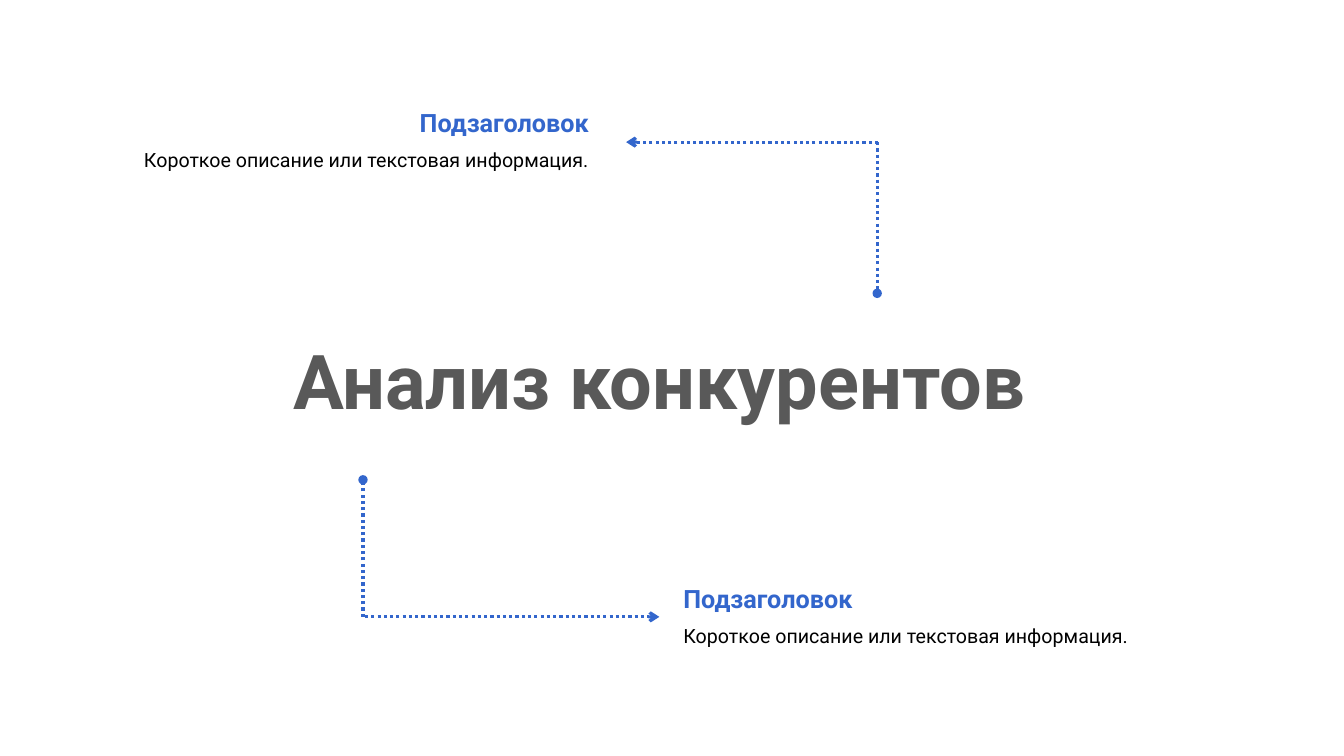
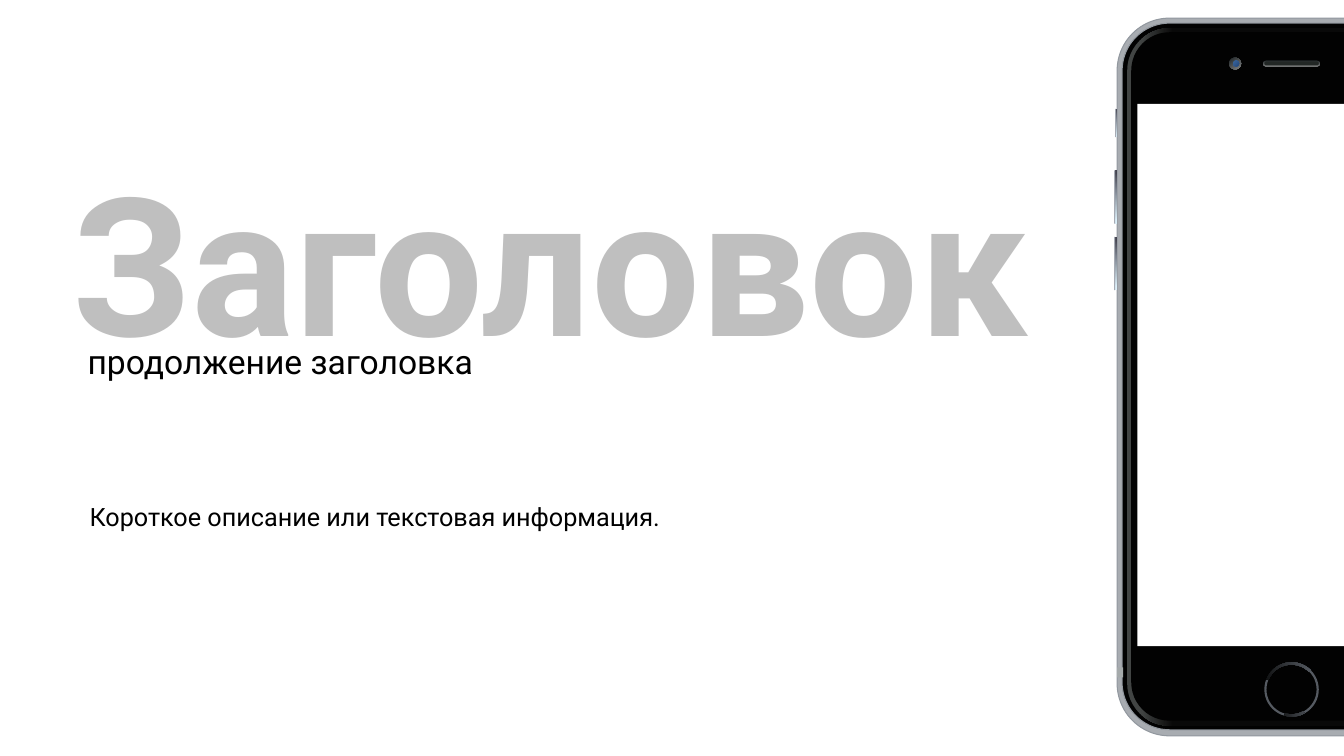
from dataclasses import dataclass

from lxml.etree import SubElement
from pptx import Presentation
from pptx.dml.color import RGBColor
from pptx.enum.dml import MSO_LINE
from pptx.enum.shapes import MSO_CONNECTOR, MSO_SHAPE
from pptx.enum.text import MSO_ANCHOR, MSO_AUTO_SIZE, PP_ALIGN
from pptx.oxml.ns import qn
from pptx.slide import Slide
from pptx.util import Emu, Pt

PX = 9144  # EMU per px, 100 px to the inch
FONT = "Roboto"
COLORS = {
    "white": "FFFFFF",
    "text": "000000",
    "accent": "3366CC",
    "title": "595959",
    "ghost": "BFBFBF",
    "frame": "A8ACB1",
    "edge": "92989F",
    "glass": "020202",
    "rim_light": "424544",
    "rim_dark": "090909",
    "ring": "555A61",
    "button": "A6ABB4",
    "button_dark": "444450",
    "button_light": "DBEFF9",
    "lens_dark": "222729",
    "lens_light": "7D7F7F",
    "lens_blue": "39669E",
    "lens_navy": "294C7E",
    "speaker": "222725",
    "antenna": "A5AAAB",
}


@dataclass(frozen=True)
class Label:
    text: str
    x: int
    y: int
    w: int
    h: int
    size: int
    color: str = "text"
    bold: bool = False
    align: PP_ALIGN = PP_ALIGN.LEFT
    wrap: bool = True
    anchor: MSO_ANCHOR = MSO_ANCHOR.TOP
    spacing: float = 1.0


@dataclass(frozen=True)
class Dotted:
    x1: int
    y1: int
    x2: int
    y2: int
    end: str


@dataclass(frozen=True)
class Gradient:
    start: str
    start_pos: float
    stop: str
    stop_pos: float
    angle: int = 0  # clockwise


@dataclass(frozen=True)
class Part:
    kind: MSO_SHAPE
    x: int
    y: int
    w: int
    h: int
    fill: str | Gradient
    adjust: tuple[float, ...] = ()
    line: str = ""


def px(n: int) -> Emu:
    return Emu(n * PX)


def rgb(name: str) -> RGBColor:
    return RGBColor.from_string(COLORS[name])


def add_label(s: Slide, label: Label) -> None:
    tf = s.shapes.add_textbox(px(label.x), px(label.y), px(label.w), px(label.h)).text_frame
    tf.word_wrap = label.wrap
    tf.vertical_anchor = label.anchor
    if label.anchor == MSO_ANCHOR.TOP:
        tf.auto_size = MSO_AUTO_SIZE.SHAPE_TO_FIT_TEXT
    p = tf.paragraphs[0]
    p.add_run().text = label.text
    p.alignment = label.align
    p.line_spacing = label.spacing
    p.font.name = FONT
    p.font.size = Pt(label.size)
    p.font.bold = label.bold
    p.font.color.rgb = rgb(label.color)


def add_dotted(s: Slide, d: Dotted) -> None:
    line = s.shapes.add_connector(
        MSO_CONNECTOR.STRAIGHT, px(d.x1), px(d.y1), px(d.x2), px(d.y2))
    line.line.color.rgb = rgb("accent")
    line.line.width = Pt(2.25)
    line.line.dash_style = MSO_LINE.ROUND_DOT
    sp_pr = line.element.spPr
    if d.end:
        SubElement(sp_pr.find(qn("a:ln")), qn("a:tailEnd"), type=d.end)
    SubElement(sp_pr, qn("a:effectLst"))


def add_part(s: Slide, part: Part) -> None:
    sp = s.shapes.add_shape(part.kind, px(part.x), px(part.y), px(part.w), px(part.h))
    sp.shadow.inherit = False
    for i, value in enumerate(part.adjust):
        sp.adjustments[i] = value
    if isinstance(part.fill, Gradient):
        g = part.fill
        sp.fill.gradient()
        sp.fill.gradient_angle = (360 - g.angle) % 360
        ends = ((g.start, g.start_pos), (g.stop, g.stop_pos))
        for stop, (color, position) in zip(sp.fill.gradient_stops, ends):
            stop.color.rgb = rgb(color)
            stop.position = position
    else:
        sp.fill.solid()
        sp.fill.fore_color.rgb = rgb(part.fill)
    if part.line:
        sp.line.color.rgb = rgb(part.line)
        sp.line.width = Pt(0.75)
    else:
        sp.line.fill.background()


def rounded(x: int, y: int, w: int, h: int, radius: int,
            fill: str | Gradient, line: str = "") -> Part:
    return Part(MSO_SHAPE.ROUNDED_RECTANGLE, x, y, w, h, fill, (radius / min(w, h),), line)


def ring_arc(start: int, stop: int, fill: Gradient) -> Part:
    # Angles are stored in 60000ths of a degree, adjustments in 100000ths
    return Part(MSO_SHAPE.BLOCK_ARC, 1254, 657, 54, 54, fill,
                (start * 0.6, stop * 0.6, 0.045))


def add_phone(s: Slide) -> None:
    rect, oval = MSO_SHAPE.RECTANGLE, MSO_SHAPE.OVAL
    rim = Gradient("rim_light", 0.04, "rim_dark", 0.14)
    parts = [
        # Body, from the frame inwards
        rounded(1108, 18, 345, 712, 52, "frame", "edge"),
        rounded(1113, 23, 334, 701, 47, "glass", "edge"),
        rounded(1118, 28, 326, 692, 42, rim),
        rounded(1122, 32, 317, 683, 38, "glass"),
        Part(rect, 1128, 103, 303, 538, "white"),
        Part(rect, 1108, 662, 6, 10, "antenna"),
        # Home button
        Part(MSO_SHAPE.DONUT, 1254, 657, 54, 54, "ring", (0.04,)),
        ring_arc(202, 315, Gradient("text", 0, "ring", 0.88, 345)),
        ring_arc(62, 105, Gradient("text", 0.07, "ring", 0.91)),
        # Camera and speaker
        Part(oval, 1219, 57, 12, 12, Gradient("lens_dark", 0.05, "lens_light", 0.96, 54)),
        Part(oval, 1223, 60, 6, 6, Gradient("lens_blue", 0.07, "lens_navy", 0.91, 45)),
        rounded(1253, 60, 56, 6, 3, Gradient("lens_dark", 0.01, "lens_light", 0.97, 90)),
        rounded(1254, 61, 54, 4, 2, "speaker"),
    ]
    # Side buttons
    shine = Gradient("button_dark", 0.05, "button_light", 0.93, 90)
    for x, y, w, h in ((1107, 108, 1, 28), (1106, 169, 2, 53), (1106, 235, 2, 53)):
        parts += [Part(rect, x, y, w, h, shine), Part(rect, x - 1, y, 1, h, "button")]
    for part in parts:
        add_part(s, part)


SUBTITLE = "Подзаголовок"
DESCRIPTION = "Короткое описание или текстовая информация."


def add_note(s: Slide, x: int, y: int, align: PP_ALIGN) -> None:
    add_label(s, Label(SUBTITLE, x, y, 537, 40, 18, "accent", True, align))
    add_label(s, Label(DESCRIPTION, x, y + 40, 537, 34, 14, align=align))


def build_competitors(s: Slide) -> None:
    add_note(s, 57, 102, PP_ALIGN.RIGHT)
    add_note(s, 668, 574, PP_ALIGN.LEFT)
    for dotted in (
        Dotted(870, 141, 870, 291, "oval"),
        Dotted(871, 141, 621, 141, "arrow"),
        Dotted(360, 612, 360, 476, "oval"),
        Dotted(362, 612, 654, 612, "arrow"),
    ):
        add_dotted(s, dotted)
    add_label(s, Label("Анализ конкурентов", 32, 326, 1244, 101, 54, "title", True,
                       PP_ALIGN.CENTER))


def build_heading(s: Slide) -> None:
    add_label(s, Label("Заголовок", 62, 137, 1006, 242, 138, "ghost", True, wrap=False))
    add_label(s, Label("продолжение заголовка", 77, 328, 638, 66, 24,
                       anchor=MSO_ANCHOR.MIDDLE, spacing=0.9))
    add_label(s, Label(DESCRIPTION, 79, 492, 662, 40, 18))
    add_phone(s)


def main() -> None:
    prs = Presentation()
    prs.slide_width, prs.slide_height = px(1333), px(750)
    for build in (build_competitors, build_heading):
        build(prs.slides.add_slide(prs.slide_layouts[6]))
    prs.save("out.pptx")


if __name__ == "__main__":
    main()
